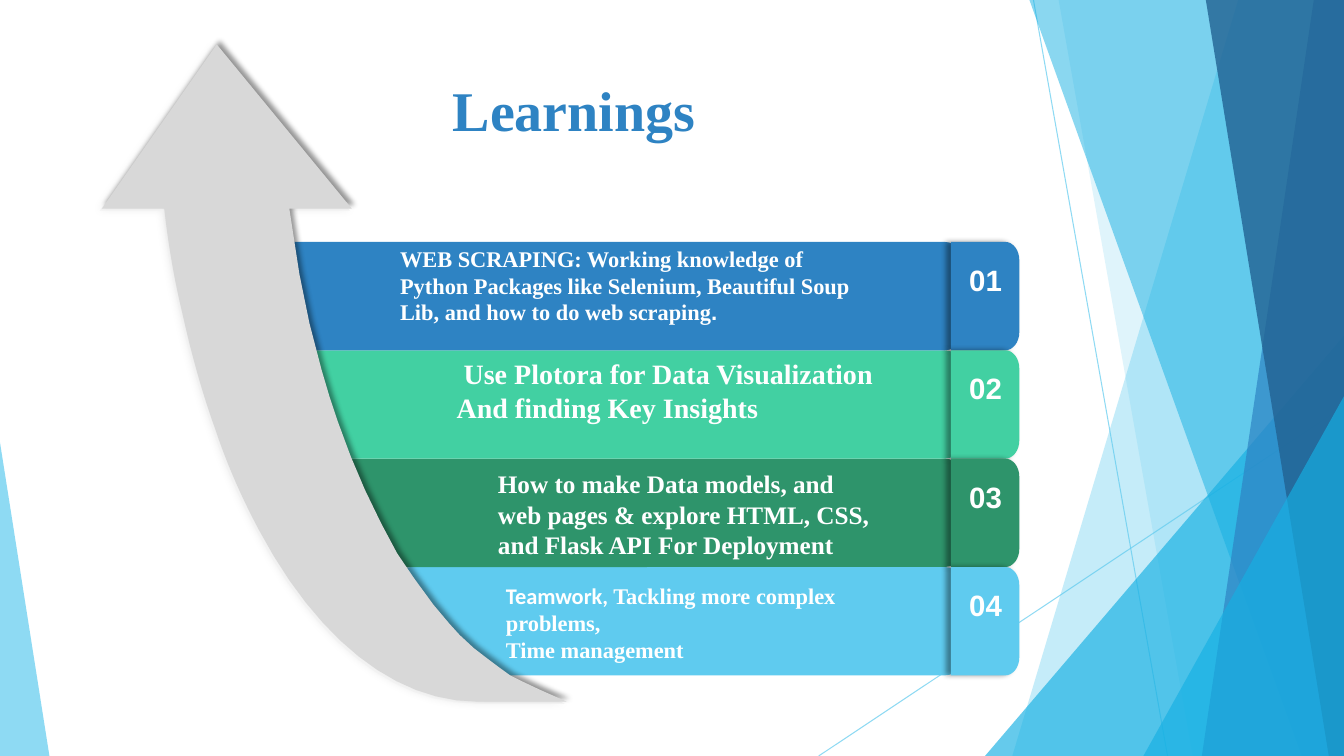
"""Build the Learnings slide: a rising arrow over four numbered bars."""
from dataclasses import dataclass
from math import cos, pi, sin
from typing import Any

from lxml import etree
from pptx import Presentation
from pptx.dml.color import RGBColor
from pptx.enum.shapes import MSO_CONNECTOR, MSO_SHAPE
from pptx.enum.text import MSO_ANCHOR, MSO_AUTO_SIZE, PP_ALIGN
from pptx.oxml.ns import qn
from pptx.util import Inches, Pt

STRAIGHT = MSO_CONNECTOR.STRAIGHT
TRIANGLE = MSO_SHAPE.ISOSCELES_TRIANGLE
ROUNDED = MSO_SHAPE.ROUNDED_RECTANGLE
LEFT, CENTER = PP_ALIGN.LEFT, PP_ALIGN.CENTER
SERIF, SANS, HUMANIST = "Times New Roman", "Arial", "Calibri"

SKY = RGBColor(0x5F, 0xCB, 0xEF)
CYAN = RGBColor(0x16, 0xB0, 0xE3)
BLUE = RGBColor(0x2E, 0x83, 0xC3)
NAVY = RGBColor(0x22, 0x62, 0x92)
MINT = RGBColor(0x42, 0xD0, 0xA2)
GREEN = RGBColor(0x2E, 0x94, 0x6B)
PALE_GRAY = RGBColor(0xF2, 0xF2, 0xF2)
GRAY = RGBColor(0xD8, 0xD8, 0xD8)
WHITE = RGBColor(0xFF, 0xFF, 0xFF)

SLIDE_WIDTH, SLIDE_HEIGHT = 13.33, 7.5
ROW_TOP, ROW_HEIGHT = 2.4, 1.075
BAR_RIGHT = 9.55
TAB_LEFT, TAB_RIGHT = 9.43, 10.11
CORNER_WIDTH, CORNER_HEIGHT = 0.14, 0.18

Point = tuple[float, float]
Box = tuple[float, float, float, float]
Run = tuple[str, str]


@dataclass(frozen=True)
class Shadow:
    opacity: int
    blur: float
    distance: float
    direction: int


@dataclass(frozen=True)
class Facet:
    top_left: float
    bottom_left: float
    color: RGBColor
    opacity: int


@dataclass(frozen=True)
class Corner:
    box: Box
    apex: float
    color: RGBColor
    opacity: int


@dataclass(frozen=True)
class Learning:
    bar_left: float
    color: RGBColor
    text_box: Box
    size: int
    paragraphs: list[list[Run]]


RAYS = [((10.25, 0), (11.58, 7.5)), ((13.33, 4.03), (8.12, 7.5))]
DECORATION = [
    Facet(12.28, 10.04, SKY, 36),
    Facet(10.5, 11.83, SKY, 20),
    Corner((9.77, 3.33, 3.56, 4.17), 1, CYAN, 66),
    Facet(10.21, 12.91, CYAN, 50),
    Facet(13.03, 11.92, BLUE, 70),
    Facet(11.96, 13.18, NAVY, 80),
    Corner((11.34, 3.93, 1.99, 3.57), 1, CYAN, 66),
    Corner((0, 4.39, 0.49, 3.11), 0, SKY, 70),
]
LEARNINGS = [
    Learning(2.53, BLUE, (3.87, 2.38, 4.91, 0.92), 16, [[
        ("WEB SCRAPING: Working knowledge of Python Packages like Selenium, "
         "Beautiful Soup Lib, and how to do web scraping", SERIF), (".", SANS)]]),
    Learning(2.53, MINT, (4.43, 3.49, 4.72, 0.78), 20, [
        [(" Use Plotora for Data Visualization", SERIF)],
        [("And finding Key Insights", SERIF)]]),
    Learning(3.28, GREEN, (4.84, 4.6, 4.01, 1.02), 18, [[
        ("How to make Data models, and web pages & explore HTML, CSS, "
         "and Flask API For Deployment", SERIF)]]),
    Learning(3.9, SKY, (4.92, 5.73, 3.86, 1.11), 16, [
        [("Teamwork, ", HUMANIST), ("Tackling more complex problems,", SERIF)],
        [("Time management", SERIF)]]),
]

ARROW_HEAD = [(2.15, 0.44), (1.01, 2.07)]
OUTER_CURVES = [
    ((1.63, 2.07), (1.67, 2.43), (1.73, 2.78), (1.81, 3.11)),
    ((1.81, 3.11), (1.9, 3.52), (2.01, 3.91), (2.14, 4.27)),
    ((2.14, 4.27), (2.26, 4.63), (2.41, 4.96), (2.57, 5.26)),
    ((2.57, 5.26), (3.14, 6.33), (3.91, 6.96), (4.73, 6.96)),
]
INNER_EDGE = [
    (5.62, 6.96), (5.35, 6.84), (5.18, 6.76), (5.06, 6.7), (4.95, 6.62),
    (4.83, 6.53), (4.7, 6.43), (4.56, 6.3), (4.46, 6.19), (4.3, 6),
    (4.11, 5.74), (3.94, 5.49), (3.78, 5.19), (3.62, 4.86), (3.48, 4.53),
    (3.35, 4.18), (3.27, 3.94), (3.19, 3.67), (3.07, 3.21), (2.97, 2.72),
    (2.87, 2.07), (3.49, 2.07),
]
FAINT_SHADOW = Shadow(7, 6, 0, 0)
ARROW_SHADOW = Shadow(40, 4, 3, 315)
TAB_SHADOW = Shadow(40, 4, 3, 180)


def set_opacity(shape: Any, percent: int) -> None:
    for color in shape._element.spPr.iter(qn("a:srgbClr")):
        etree.SubElement(color, qn("a:alpha"), val=str(percent * 1000))


def add_shadow(shape: Any, shadow: Shadow) -> None:
    effects = shape._element.spPr.find(qn("a:effectLst"))
    outer = etree.SubElement(
        effects, qn("a:outerShdw"), blurRad=str(Pt(shadow.blur)),
        dist=str(Pt(shadow.distance)), dir=str(shadow.direction * 60000),
        algn="ctr", rotWithShape="0")
    color = etree.SubElement(outer, qn("a:srgbClr"), val="000000")
    etree.SubElement(color, qn("a:alpha"), val=str(shadow.opacity * 1000))


def paint(shape: Any, color: RGBColor) -> None:
    shape.shadow.inherit = False
    shape.fill.solid()
    shape.fill.fore_color.rgb = color
    shape.line.fill.background()


def add_outline(slide: Any, points: list[Point], color: RGBColor) -> Any:
    start, *others = [(Inches(x), Inches(y)) for x, y in points]
    builder = slide.shapes.build_freeform(*start)
    builder.add_line_segments(others, close=True)
    shape = builder.convert_to_shape()
    paint(shape, color)
    return shape


def add_preset(slide: Any, kind: Any, box: Box, adjustment: float, color: RGBColor) -> Any:
    shape = slide.shapes.add_shape(kind, *map(Inches, box))
    shape.adjustments[0] = adjustment
    paint(shape, color)
    return shape


def add_ray(slide: Any, start: Point, end: Point) -> None:
    ray = slide.shapes.add_connector(STRAIGHT, *map(Inches, start + end))
    ray.line.color.rgb = SKY
    ray.line.width = Pt(0.75)
    set_opacity(ray, 70)
    etree.SubElement(ray._element.spPr, qn("a:effectLst"))


def add_decoration(slide: Any, item: Facet | Corner) -> None:
    if isinstance(item, Facet):
        points = [(item.top_left, 0), (SLIDE_WIDTH, 0),
                  (SLIDE_WIDTH, SLIDE_HEIGHT), (item.bottom_left, SLIDE_HEIGHT)]
        shape = add_outline(slide, points, item.color)
    else:
        shape = add_preset(slide, TRIANGLE, item.box, item.apex, item.color)
    set_opacity(shape, item.opacity)


def curve_points(curve: tuple[Point, ...], steps: int = 12) -> list[Point]:
    points = []
    for step in range(steps + 1):
        t = step / steps
        weights = ((1 - t) ** 3, 3 * t * (1 - t) ** 2, 3 * t * t * (1 - t), t ** 3)
        points.append((sum(w * x for w, (x, _) in zip(weights, curve)),
                       sum(w * y for w, (_, y) in zip(weights, curve))))
    return points


def add_arrow(slide: Any, offset: float, color: RGBColor, shadow: Shadow) -> None:
    outer_edge = [point for curve in OUTER_CURVES for point in curve_points(curve)]
    points = [(x - offset, y + offset) for x, y in ARROW_HEAD + outer_edge + INNER_EDGE]
    add_shadow(add_outline(slide, points, color), shadow)


def add_tab(slide: Any, top: float, color: RGBColor) -> None:
    bottom = top + ROW_HEIGHT
    angles = [step * pi / 16 for step in range(9)]
    upper = [(TAB_RIGHT - CORNER_WIDTH * (1 - sin(angle)),
              top + CORNER_HEIGHT * (1 - cos(angle))) for angle in angles]
    lower = [(x, top + bottom - y) for x, y in reversed(upper)]
    points = [(TAB_LEFT, top), *upper, *lower, (TAB_LEFT, bottom)]
    add_shadow(add_outline(slide, points, color), TAB_SHADOW)


def write_text(shape: Any, box: Box, paragraphs: list[list[Run]], size: int,
               color: RGBColor = WHITE, alignment: Any = LEFT) -> None:
    for name, length in zip(("left", "top", "width", "height"), box):
        setattr(shape, name, Inches(length))
    frame = shape.text_frame
    frame_format = {"word_wrap": True, "vertical_anchor": MSO_ANCHOR.TOP,
                    "auto_size": MSO_AUTO_SIZE.SHAPE_TO_FIT_TEXT}
    for name, value in frame_format.items():
        setattr(frame, name, value)
    for index, runs in enumerate(paragraphs):
        paragraph = frame.add_paragraph() if index else frame.paragraphs[0]
        paragraph.alignment = alignment
        for text, font_name in runs:
            run = paragraph.add_run()
            run.text = text
            for name, value in {"name": font_name, "size": Pt(size), "bold": True}.items():
                setattr(run.font, name, value)
            run.font.color.rgb = color


def add_text(slide: Any, box: Box, paragraphs: list[list[Run]], size: int,
             alignment: Any = LEFT) -> None:
    shape = slide.shapes.add_textbox(*map(Inches, box))
    write_text(shape, box, paragraphs, size, alignment=alignment)


def main() -> None:
    presentation = Presentation()
    presentation.slide_width = Inches(SLIDE_WIDTH)
    presentation.slide_height = Inches(SLIDE_HEIGHT)
    slide = presentation.slides.add_slide(presentation.slide_layouts[5])
    write_text(slide.shapes.title, (4.39, 0.7, 2.98, 0.77), [[("Learnings", SERIF)]], 40, BLUE)

    for start, end in RAYS:
        add_ray(slide, start, end)
    for item in DECORATION:
        add_decoration(slide, item)

    rows = [(ROW_TOP + index * ROW_HEIGHT, learning) for index, learning in enumerate(LEARNINGS)]
    add_arrow(slide, 0.02, PALE_GRAY, FAINT_SHADOW)
    for top, learning in reversed(rows):
        box = (learning.bar_left, top, BAR_RIGHT - learning.bar_left, ROW_HEIGHT)
        add_preset(slide, ROUNDED, box, 0.167, learning.color)
    add_arrow(slide, 0, GRAY, ARROW_SHADOW)
    for top, learning in rows:
        add_tab(slide, top, learning.color)
    for number, (top, learning) in enumerate(rows, start=1):
        add_text(slide, learning.text_box, learning.paragraphs, learning.size)
        add_text(slide, (9.35, top + 0.15, 0.85, 0.73), [[(f"{number:02}", SANS)]], 21, CENTER)
    presentation.save("out.pptx")


if __name__ == "__main__":
    main()
